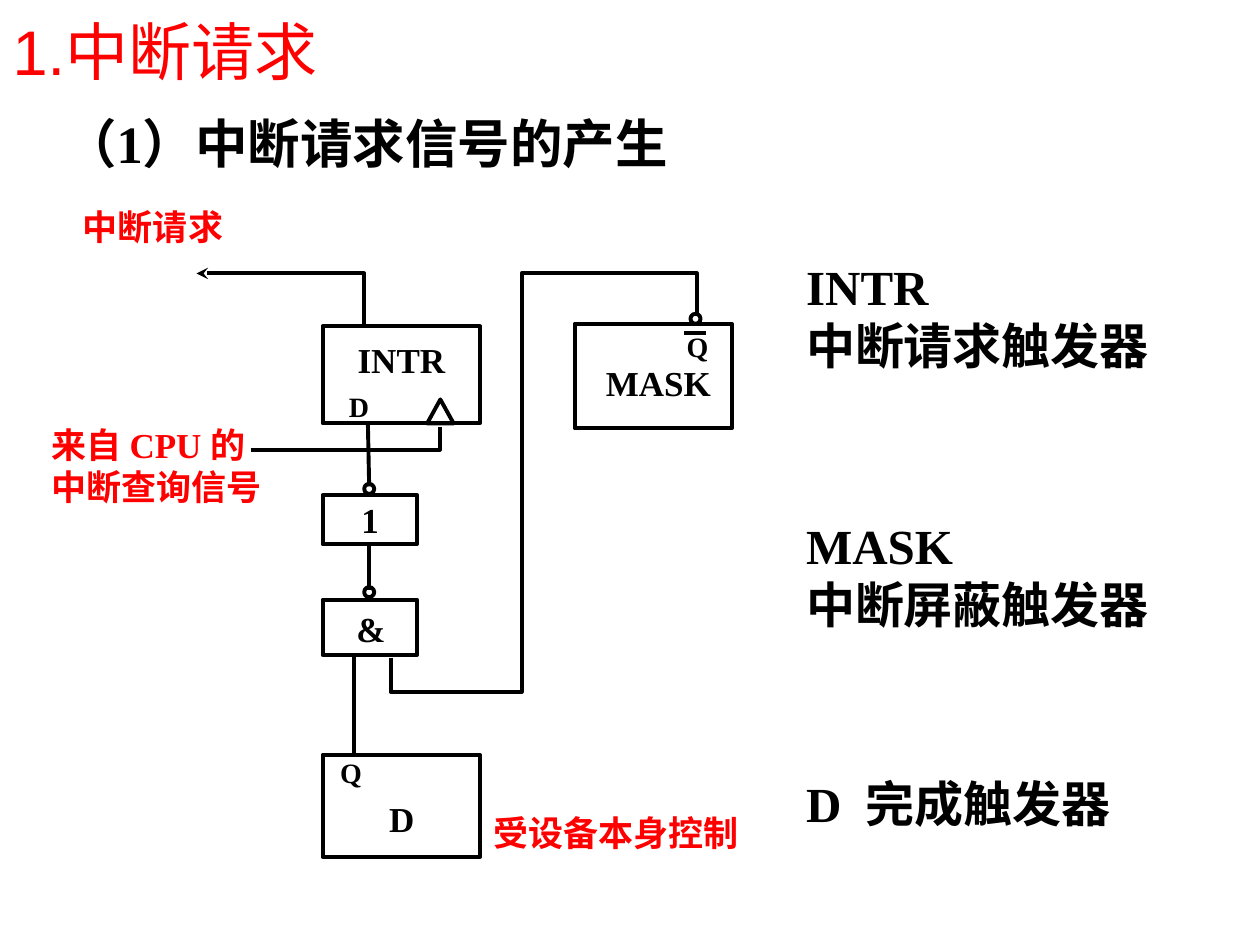
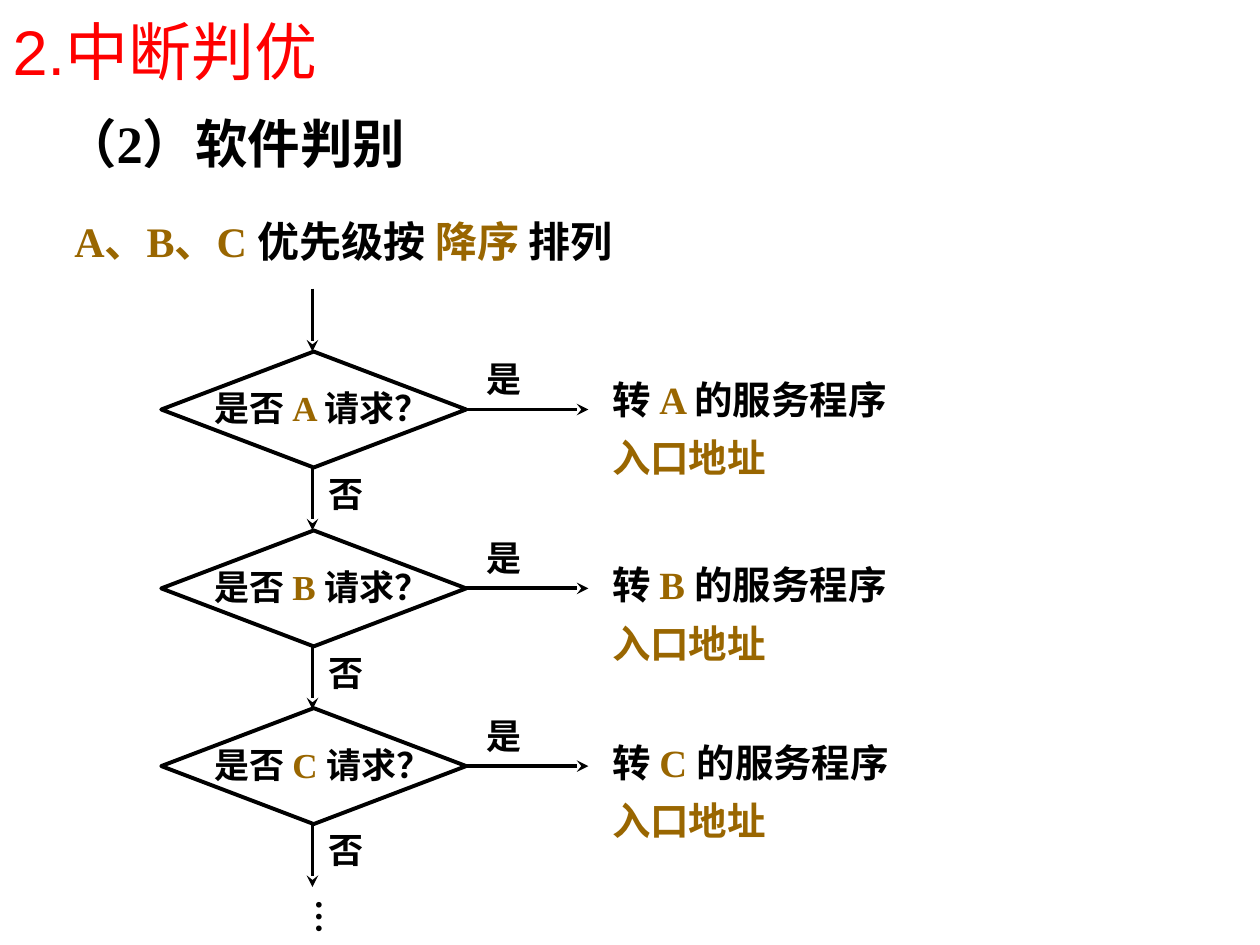
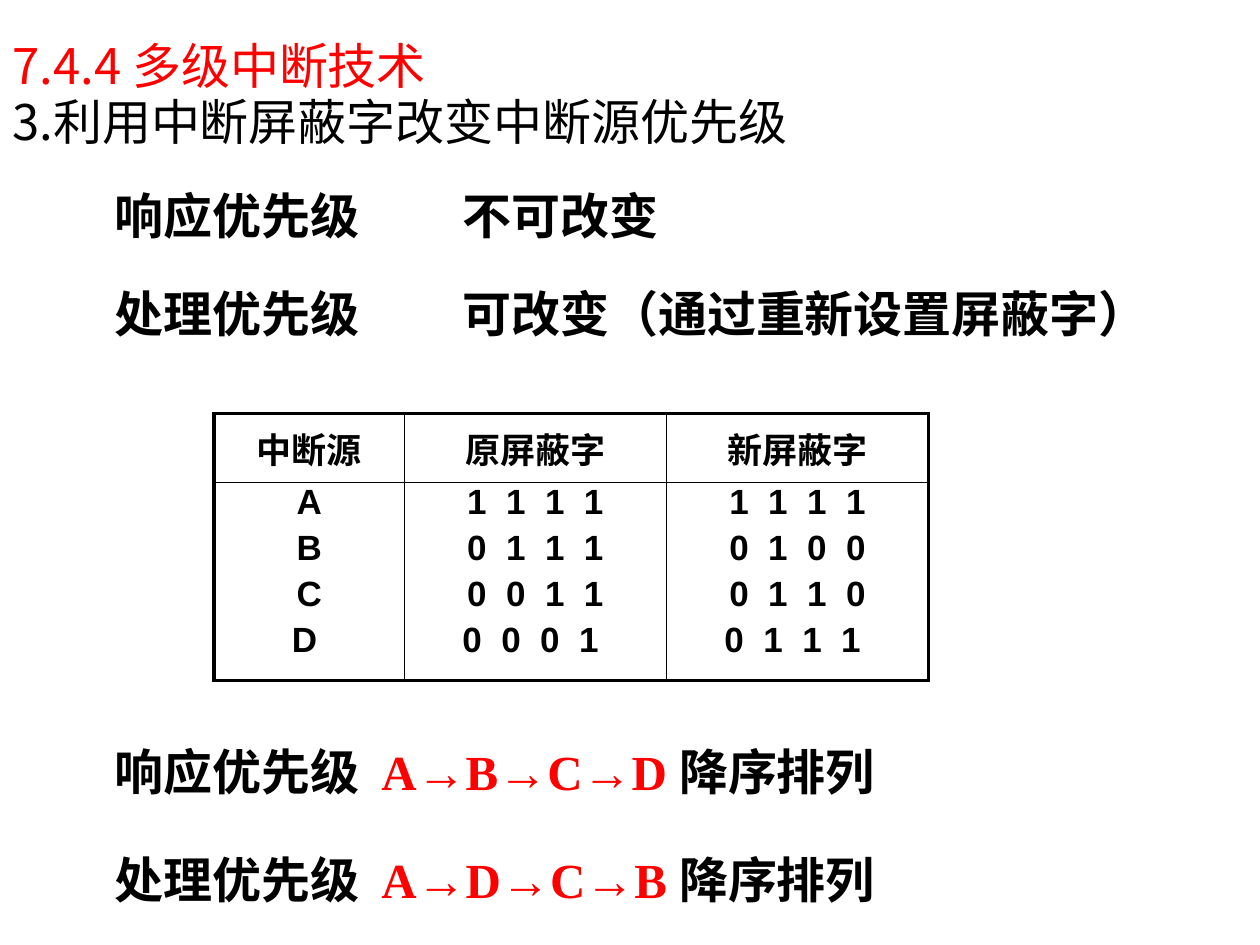
from dataclasses import dataclass
from typing import NamedTuple, Optional, Sequence, Union

from lxml import etree
from pptx import Presentation
from pptx.dml.color import RGBColor
from pptx.enum.shapes import MSO_CONNECTOR, MSO_SHAPE
from pptx.enum.text import MSO_ANCHOR, MSO_AUTO_SIZE, PP_ALIGN
from pptx.oxml.ns import qn
from pptx.util import Inches, Pt

STRAIGHT = MSO_CONNECTOR.STRAIGHT
RECTANGLE = MSO_SHAPE.RECTANGLE
OVAL = MSO_SHAPE.OVAL
TRIANGLE = MSO_SHAPE.ISOSCELES_TRIANGLE
DIAMOND = MSO_SHAPE.DIAMOND
TOP = MSO_ANCHOR.TOP
MIDDLE = MSO_ANCHOR.MIDDLE
LEFT = PP_ALIGN.LEFT
CENTER = PP_ALIGN.CENTER
GROW = MSO_AUTO_SIZE.SHAPE_TO_FIT_TEXT
FIXED = MSO_AUTO_SIZE.NONE
TITLE_ONLY = 5


@dataclass(frozen=True)
class Theme:
    black: RGBColor = RGBColor(0x00, 0x00, 0x00)
    red: RGBColor = RGBColor(0xFF, 0x00, 0x00)
    brown: RGBColor = RGBColor(0x99, 0x66, 0x00)
    serif: str = "Times New Roman"
    sans: str = "Arial"
    chinese: str = "Noto Sans CJK SC"
    title: float = 36
    subtitle: float = 30
    large: float = 28
    lead: float = 24
    target: float = 22
    label: float = 20
    pin: float = 16
    line: float = 2.25
    thin_line: float = 1


THEME = Theme()


class Box(NamedTuple):
    left: float
    top: float
    width: float
    height: float


class Point(NamedTuple):
    x: float
    y: float


class Run(NamedTuple):
    text: str
    color: Optional[RGBColor] = None
    font: Optional[str] = None


Paragraph = Union[str, Sequence[Run]]


@dataclass(frozen=True)
class Label:
    box: Box
    paragraphs: Sequence[Paragraph]
    size: float = THEME.label
    color: RGBColor = THEME.black
    wrap: bool = False


@dataclass(frozen=True)
class Outline:
    kind: int
    box: Box


@dataclass(frozen=True)
class Wire:
    points: Sequence[Point]
    arrow: bool = False


@dataclass(frozen=True)
class Decision:
    source: str
    top: float
    target_top: float


def format_text(frame, paragraphs: Sequence[Paragraph], *, size: float = THEME.label,
                color: RGBColor = THEME.black, font: str = THEME.serif, bold: bool = True,
                align: int = LEFT, line_spacing: Optional[float] = None,
                space_before: float = 0) -> None:
    for index, content in enumerate(paragraphs):
        paragraph = frame.add_paragraph() if index else frame.paragraphs[0]
        paragraph.alignment = align
        paragraph.space_before = Pt(space_before if index else 0)
        if line_spacing:
            paragraph.line_spacing = line_spacing
        for part in [Run(content)] if isinstance(content, str) else content:
            run = paragraph.add_run()
            run.text = part.text
            run.font.size = Pt(size)
            run.font.bold = bold
            run.font.name = part.font or font
            run.font.color.rgb = part.color or color
            east_asian = etree.SubElement(run.font._element, qn("a:ea"))
            east_asian.set("typeface", THEME.chinese)


def add_text(slide, box: Box, paragraphs: Sequence[Paragraph], *,
             margins: Sequence[float] = (0.1, 0.05, 0.1, 0.05), wrap: bool = False,
             anchor: int = TOP, auto_size: int = GROW, vertical: bool = False,
             **text_format) -> None:
    frame = slide.shapes.add_textbox(*map(Inches, box)).text_frame
    frame.word_wrap = wrap
    frame.auto_size = auto_size
    frame.vertical_anchor = anchor
    (frame.margin_left, frame.margin_top,
     frame.margin_right, frame.margin_bottom) = map(Inches, margins)
    if vertical:
        frame._txBody.bodyPr.set("vert", "eaVert")
    format_text(frame, paragraphs, **text_format)


def add_label(slide, label: Label) -> None:
    add_text(slide, label.box, label.paragraphs, size=label.size,
             color=label.color, wrap=label.wrap)


def add_heading(slide, box: Box, content: Paragraph, size: float) -> None:
    add_text(slide, box, [content], size=size, margins=(0, 0.05, 0, 0.05),
             anchor=MIDDLE, auto_size=FIXED)


def add_statement(slide, box: Box, content: Paragraph) -> None:
    add_text(slide, box, [content], size=THEME.large, margins=(0, 0, 0, 0),
             anchor=MIDDLE, auto_size=FIXED)


def style_line(shape, arrow: bool = False) -> None:
    shape.line.color.rgb = THEME.black
    shape.line.width = Pt(THEME.line)
    if arrow:
        etree.SubElement(shape.line._get_or_add_ln(), qn("a:tailEnd")).set("type", "stealth")


def add_outline(slide, outline: Outline) -> None:
    shape = slide.shapes.add_shape(outline.kind, *map(Inches, outline.box))
    shape.shadow.inherit = False
    shape.fill.background()
    style_line(shape)


def add_wire(slide, wire: Wire) -> None:
    points = [(Inches(point.x), Inches(point.y)) for point in wire.points]
    if len(points) == 2:
        shape = slide.shapes.add_connector(STRAIGHT, *points[0], *points[1])
        style_line(shape, wire.arrow)
        etree.SubElement(shape._element.spPr, qn("a:effectLst"))
        return
    builder = slide.shapes.build_freeform(*points[0])
    builder.add_line_segments(points[1:], close=False)
    shape = builder.convert_to_shape()
    shape.shadow.inherit = False
    shape.fill.background()
    style_line(shape, wire.arrow)


def add_titled_slide(presentation, title: Paragraph, *, size: float = THEME.title,
                     line_spacing: Optional[float] = None):
    slide = presentation.slides.add_slide(presentation.slide_layouts[TITLE_ONLY])
    shape = slide.shapes.title
    shape.left, shape.top, shape.width, shape.height = map(Inches, (0, 0, 9.8, 0.8))
    frame = shape.text_frame
    frame.auto_size = FIXED
    frame.vertical_anchor = MIDDLE
    format_text(frame, [title], size=size, color=THEME.red, font=THEME.sans,
                bold=False, line_spacing=line_spacing)
    return slide


def add_borders(cell, widths: Sequence[float]) -> None:
    properties = cell._tc.get_or_add_tcPr()
    for index, (side, width) in enumerate(zip("LRTB", widths)):
        border = etree.Element(qn(f"a:ln{side}"), w=str(Pt(width)))
        fill = etree.SubElement(border, qn("a:solidFill"))
        etree.SubElement(fill, qn("a:srgbClr")).set("val", str(THEME.black))
        properties.insert(index, border)


def add_mask_table(slide) -> None:
    rows = [
        [["中断源"], ["原屏蔽字"], ["新屏蔽字"]],
        [["A", "B", "C", "D "],
         ["1  1  1  1", "0  1  1  1", "0  0  1  1", "0  0  0  1 "],
         ["1  1  1  1", "0  1  0  0", "0  1  1  0", "0  1  1  1 "]],
    ]
    widths, heights = (1.51, 2.08, 2.08), (0.55, 1.57)
    frame = slide.shapes.add_table(len(heights), len(widths), Inches(1.7), Inches(3.28),
                                   Inches(sum(widths)), Inches(sum(heights)))
    table = frame.table
    table.first_row = False
    table.horz_banding = False
    for column, width in zip(table.columns, widths):
        column.width = Inches(width)
    for row, height in zip(table.rows, heights):
        row.height = Inches(height)
    for row_index, row in enumerate(rows):
        for column_index, lines in enumerate(row):
            cell = table.cell(row_index, column_index)
            cell.fill.background()
            cell.margin_left = cell.margin_right = cell.margin_top = cell.margin_bottom = 0
            cell.vertical_anchor = TOP if row_index else MIDDLE
            format_text(cell.text_frame, lines, font=THEME.sans, align=CENTER,
                        space_before=4)
            outer_sides = (column_index == 0, column_index == len(widths) - 1,
                           row_index == 0, row_index == len(heights) - 1)
            add_borders(cell, [THEME.line if outer else THEME.thin_line
                               for outer in outer_sides])


SUBTITLE_BOX = Box(0.51, 0.84, 6.58, 0.58)
BUBBLE = 0.08

CIRCUIT_OUTLINES = [
    Outline(RECTANGLE, Box(2.56, 5.99, 1.25, 0.81)),
    Outline(RECTANGLE, Box(2.56, 4.76, 0.75, 0.44)),
    Outline(RECTANGLE, Box(2.56, 3.93, 0.75, 0.39)),
    Outline(RECTANGLE, Box(2.56, 2.59, 1.25, 0.77)),
    Outline(RECTANGLE, Box(4.56, 2.57, 1.25, 0.83)),
    Outline(TRIANGLE, Box(3.39, 3.17, 0.21, 0.19)),
    Outline(OVAL, Box(2.89, 4.66, BUBBLE, BUBBLE)),
    Outline(OVAL, Box(2.89, 3.84, BUBBLE, BUBBLE)),
    Outline(OVAL, Box(5.48, 2.49, BUBBLE, BUBBLE)),
]

CIRCUIT_WIRES = [
    Wire([Point(2.81, 5.21), Point(2.81, 5.99)]),
    Wire([Point(2.92, 3.36), Point(2.93, 3.86)]),
    Wire([Point(2.93, 4.32), Point(2.93, 4.68)]),
    Wire([Point(1.99, 3.57), Point(3.49, 3.57), Point(3.49, 3.39)]),
    Wire([Point(3.1, 5.22), Point(3.1, 5.49), Point(4.14, 5.49),
          Point(4.14, 2.17), Point(5.53, 2.17), Point(5.53, 2.5)]),
    Wire([Point(5.43, 2.64), Point(5.6, 2.64)]),
    Wire([Point(2.89, 2.58), Point(2.89, 2.17), Point(1.56, 2.17)], arrow=True),
]

CIRCUIT_LABELS = [
    Label(Box(2.99, 6.28, 0.4, 0.43), ["D"]),
    Label(Box(2.6, 5.95, 0.38, 0.37), ["Q"], THEME.pin),
    Label(Box(2.73, 4.77, 0.43, 0.43), ["&"]),
    Label(Box(2.77, 3.91, 0.34, 0.43), ["1"]),
    Label(Box(2.74, 2.64, 0.9, 0.43), ["INTR"]),
    Label(Box(2.67, 3.04, 0.36, 0.37), ["D"], THEME.pin),
    Label(Box(4.71, 2.82, 1.15, 0.43), ["MASK"]),
    Label(Box(5.35, 2.57, 0.38, 0.37), ["Q"], THEME.pin),
    Label(Box(6.3, 1.99, 2.94, 1.03), ["INTR", "中断请求触发器"], THEME.large),
    Label(Box(6.3, 4.04, 2.94, 1.03), ["MASK", "中断屏蔽触发器"], THEME.large),
    Label(Box(6.3, 6.09, 2.63, 0.57), ["D  完成触发器"], THEME.large, wrap=True),
    Label(Box(0.31, 3.31, 1.88, 0.77), ["来自 CPU 的", "中断查询信号"], color=THEME.red),
    Label(Box(3.82, 6.39, 2.16, 0.43), ["受设备本身控制"], color=THEME.red),
    Label(Box(0.56, 1.58, 1.33, 0.43), ["中断请求"], color=THEME.red, wrap=True),
]

DECISIONS = [
    Decision("A", 2.79, 2.99),
    Decision("B", 4.21, 4.46),
    Decision("C", 5.62, 5.87),
]


def build_request_slide(presentation) -> None:
    slide = add_titled_slide(presentation, "1.中断请求")
    add_heading(slide, SUBTITLE_BOX, "（1）中断请求信号的产生", THEME.subtitle)
    for outline in CIRCUIT_OUTLINES:
        add_outline(slide, outline)
    for wire in CIRCUIT_WIRES:
        add_wire(slide, wire)
    for label in CIRCUIT_LABELS:
        add_label(slide, label)


def add_decision(slide, decision: Decision) -> None:
    top, middle, bottom = decision.top, decision.top + 0.46, decision.top + 0.92
    source = Run(f"{decision.source} ", THEME.brown)
    add_outline(slide, Outline(DIAMOND, Box(1.28, top, 2.42, 0.92)))
    add_text(slide, Box(1.7, top + 0.28, 2.15, 0.38),
             [[Run("是否 "), source, Run("请求？")]], margins=(0, 0, 0.1, 0.05), wrap=True)
    add_wire(slide, Wire([Point(3.67, middle), Point(4.67, middle)], arrow=True))
    add_label(slide, Label(Box(3.76, top, 0.67, 0.43), ["是"], wrap=True))
    add_wire(slide, Wire([Point(2.48, bottom), Point(2.48, bottom + 0.5)], arrow=True))
    add_label(slide, Label(Box(2.51, bottom - 0.01, 0.67, 0.43), ["否"], wrap=True))
    add_text(slide, Box(4.76, decision.target_top, 3.83, 0.91),
             [[Run("转 "), source, Run("的服务程序")], [Run("入口地址", THEME.brown)]],
             size=THEME.target, wrap=True, line_spacing=0.85, space_before=11)


def build_polling_slide(presentation) -> None:
    slide = add_titled_slide(presentation, "2.中断判优")
    add_heading(slide, SUBTITLE_BOX, "（2）软件判别", THEME.subtitle)
    add_heading(slide, Box(0.59, 1.62, 5.75, 0.58),
                [Run("A、B、C ", THEME.brown), Run("优先级按 "),
                 Run("降序 ", THEME.brown), Run("排列")], THEME.lead)
    add_wire(slide, Wire([Point(2.48, 2.29), Point(2.48, 2.79)], arrow=True))
    for decision in DECISIONS:
        add_decision(slide, decision)
    add_text(slide, Box(2.31, 7.04, 0.53, 0.38), ["…"], vertical=True)


def build_mask_slide(presentation) -> None:
    title = [Run("7.4.4 ", font=THEME.chinese), Run("多级中断技术")]
    slide = add_titled_slide(presentation, title, size=THEME.large, line_spacing=1.5)
    add_text(slide, Box(0, 0.68, 6.42, 0.57), ["3.利用中断屏蔽字改变中断源优先级"],
             size=THEME.large, font=THEME.chinese, bold=False, wrap=True)
    properties = [("响应优先级", "不可改变", 1.47, 2.34),
                  ("处理优先级", "可改变（通过重新设置屏蔽字）", 2.25, 4.41)]
    for name, change, top, width in properties:
        add_statement(slide, Box(0.91, top, 2.34, 0.47), name)
        add_statement(slide, Box(3.67, top, width, 0.47), change)
    add_mask_table(slide)
    orders = [("响应优先级", "A→B→C→D", 5.88, 6.93),
              ("处理优先级", "A→D→C→B", 6.74, 7.17)]
    for name, order, top, width in orders:
        add_statement(slide, Box(0.91, top, width, 0.47),
                      [Run(f"{name}  "), Run(f"{order} ", THEME.red), Run("降序排列")])


def main() -> None:
    presentation = Presentation()
    presentation.slide_width = Inches(10)
    presentation.slide_height = Inches(7.5)
    build_request_slide(presentation)
    build_polling_slide(presentation)
    build_mask_slide(presentation)
    presentation.save("out.pptx")


if __name__ == "__main__":
    main()
